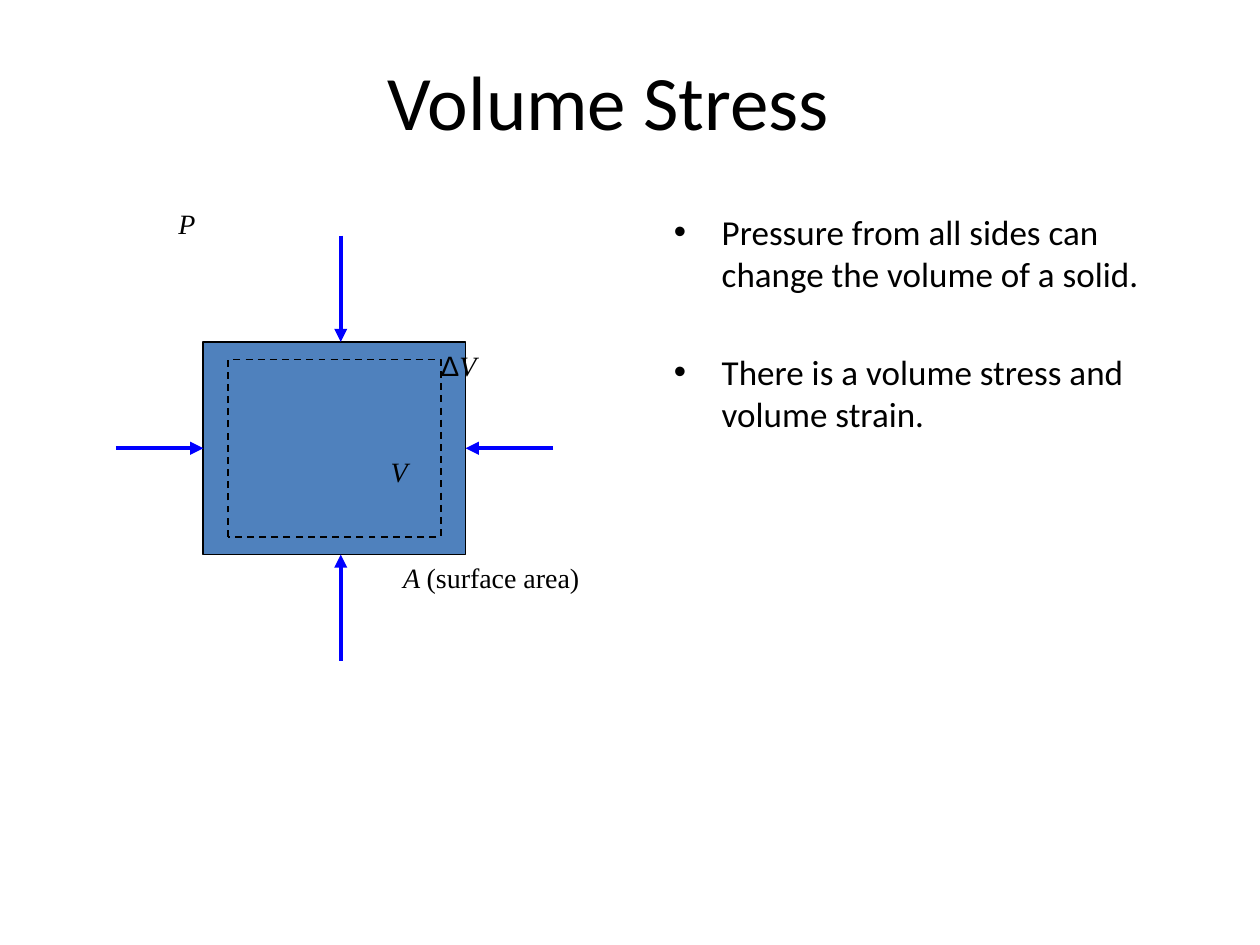
from lxml import etree
from pptx import Presentation
from pptx.dml.color import RGBColor
from pptx.enum.dml import MSO_LINE
from pptx.enum.shapes import MSO_CONNECTOR, MSO_SHAPE
from pptx.enum.text import MSO_ANCHOR, PP_ALIGN
from pptx.oxml.ns import qn
from pptx.util import Inches, Pt

DASH = MSO_LINE.DASH
LINE = MSO_CONNECTOR.STRAIGHT
RECT, SKEW = MSO_SHAPE.RECTANGLE, MSO_SHAPE.PARALLELOGRAM
MID, TOP = MSO_ANCHOR.MIDDLE, MSO_ANCHOR.TOP
CENTER = PP_ALIGN.CENTER
WIDE, HIGH = 10, 7.5
COLS, ROWS = 35, 24
BLACK, BLUE, STEEL = "000000", "0000FF", "4F81BD"
HEAD = {"name": "Calibri", "size": Pt(44)}
BODY = {"name": "Calibri", "size": Pt(20)}
ROMAN = {"name": "Times New Roman", "size": Pt(16)}
SLANT = {**ROMAN, "italic": True}
SANS = {"name": "Arial", "size": Pt(16)}
POINTS = (
    "Pressure from all sides can change the volume of a solid.",
    "There is a volume stress and volume strain.",
)
ARROWS = (
    (0, 12, 7, 12),
    (35, 12, 28, 12),
    (18, 0, 18, 6),
    (18, 24, 18, 18),
)
LABELS = (
    (4, -2, 4, [("P", SLANT)]),
    (25, 6, 6, [("Δ", SANS), ("V", SLANT)]),
    (21, 12, 4, [("V", SLANT)]),
    (22, 18, 20, [("A ", SLANT), ("(surface area)", ROMAN)]),
)


def color(code):
    return RGBColor.from_string(code)


def style(font, look):
    for key, value in look.items():
        setattr(font, key, value)
    font.color.rgb = color(BLACK)


def place(shape, box):
    for key, value in zip(("left", "top", "width", "height"), box):
        setattr(shape, key, Inches(value))


def write(para, text, look):
    run = para.add_run()
    run.text = text
    style(run.font, look)


def head(slide, box):
    title = slide.shapes.title
    place(title, box)
    frame = title.text_frame
    frame.vertical_anchor = MID
    para = frame.paragraphs[0]
    para.alignment = CENTER
    write(para, "Volume Stress", HEAD)


def bullet(para):
    props = para._p.get_or_add_pPr()
    for key, value in (("marL", 0.38), ("indent", -0.38)):
        props.set(key, str(Inches(value)))
    etree.SubElement(props, qn("a:buFont")).set("typeface", "Arial")
    etree.SubElement(props, qn("a:buChar")).set("char", "•")


def notes(slide, box):
    frame = slide.shapes.add_textbox(*map(Inches, box)).text_frame
    frame.word_wrap = True
    frame.vertical_anchor = TOP
    for rank, text in enumerate(POINTS):
        para = frame.add_paragraph() if rank else frame.paragraphs[0]
        bullet(para)
        if rank:
            para.space_before = Pt(32)
        write(para, text, BODY)


def block(slide, kind, box, fill=None, dash=None):
    shape = slide.shapes.add_shape(kind, *box)
    shape.shadow.inherit = False
    if kind == SKEW:
        shape.adjustments[0] = 0
    if fill:
        shape.fill.solid()
        shape.fill.fore_color.rgb = color(fill)
    else:
        shape.fill.background()
    shape.line.color.rgb = color(BLACK)
    shape.line.width = Pt(1)
    if dash:
        shape.line.dash_style = dash


def arrow(slide, ends):
    link = slide.shapes.add_connector(LINE, *ends)
    link.line.color.rgb = color(BLUE)
    link.line.width = Pt(2.5)
    tail = etree.SubElement(link.line._get_or_add_ln(), qn("a:tailEnd"))
    tail.set("type", "triangle")
    etree.SubElement(link._element.spPr, qn("a:effectLst"))


def label(slide, box, parts):
    frame = slide.shapes.add_textbox(*box).text_frame
    frame.word_wrap = True
    for text, look in parts:
        write(frame.paragraphs[0], text, look)


def figure(slide, box):
    left, top, width, height = box
    col, row = width / COLS, height / ROWS

    def spot(x, y):
        return Inches(left + x * col), Inches(top + y * row)

    def cell(x, y, wide, high):
        return *spot(x, y), Inches(wide * col), Inches(high * row)

    block(slide, RECT, cell(7, 6, 21, 12), fill=STEEL)
    block(slide, SKEW, cell(9, 7, 17, 10), dash=DASH)
    for x, y, end, stop in ARROWS:
        arrow(slide, (*spot(x, y), *spot(end, stop)))
    for x, y, wide, parts in LABELS:
        label(slide, cell(x, y, wide, 4.4), parts)


def main():
    deck = Presentation()
    deck.slide_width, deck.slide_height = Inches(WIDE), Inches(HIGH)
    slide = deck.slides.add_slide(deck.slide_layouts[5])
    head(slide, (0.58, 0.17, 0.85 * WIDE, HIGH / 6))
    notes(slide, (5.25, 1.62, 4.17, 0.6 * HIGH))
    figure(slide, (0.92, 1.87, 3.47, 0.45 * HIGH))
    deck.save("out.pptx")


if __name__ == "__main__":
    main()
